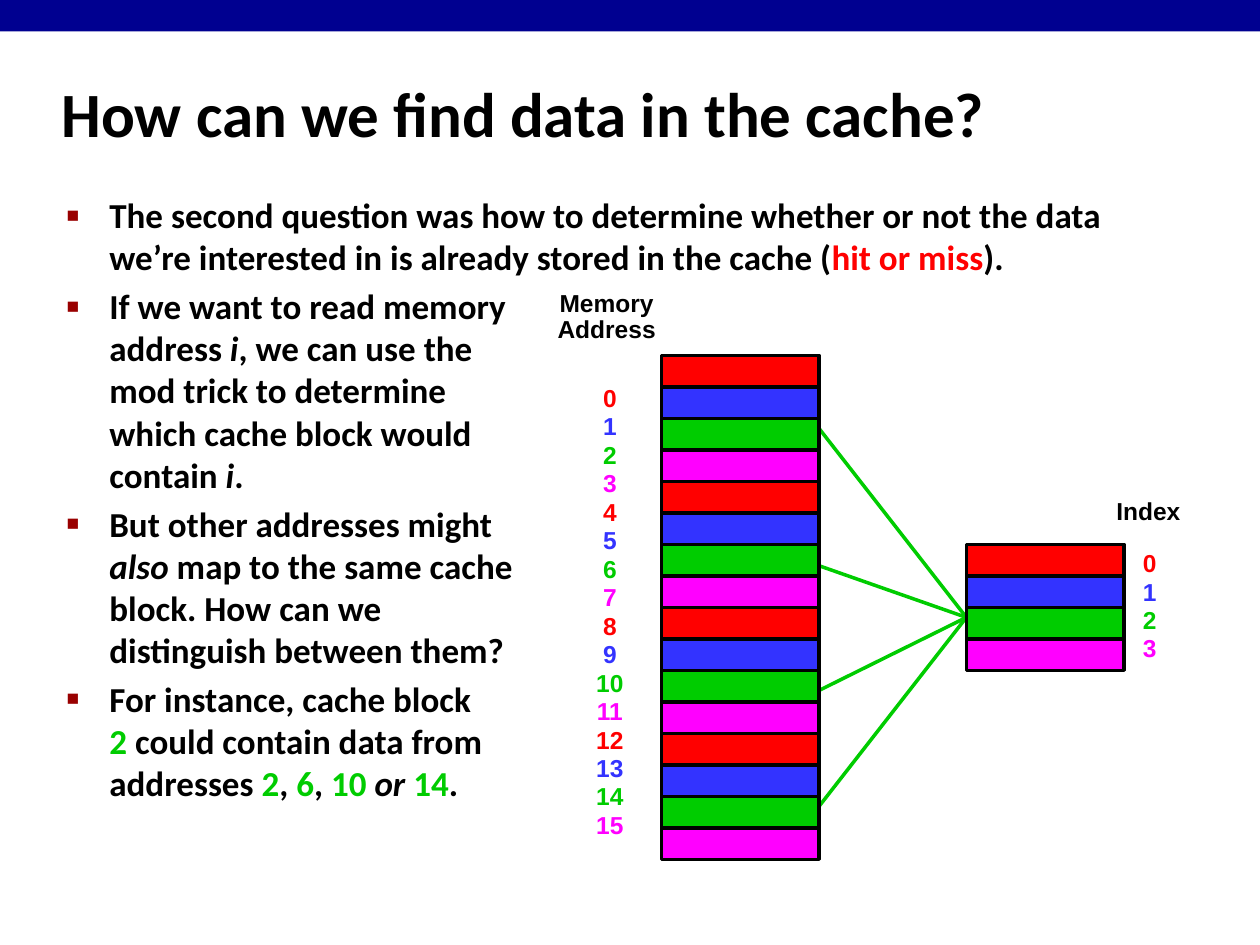
from lxml import etree
from pptx import Presentation
from pptx.dml.color import RGBColor
from pptx.enum.shapes import MSO_CONNECTOR, MSO_SHAPE
from pptx.enum.text import MSO_ANCHOR, PP_ALIGN
from pptx.oxml.ns import qn
from pptx.util import Inches, Pt

RECTANGLE = MSO_SHAPE.RECTANGLE
STRAIGHT = MSO_CONNECTOR.STRAIGHT
TOP, MIDDLE = MSO_ANCHOR.TOP, MSO_ANCHOR.MIDDLE
LEFT, CENTER = PP_ALIGN.LEFT, PP_ALIGN.CENTER

THEME = {
    "text": "000000", "bar": "000090", "bullet": "990000", "hit": "FF0000",
    "match": "00CC00", "outline": "000000",
    "blocks": ["FF0000", "3333FF", "00CC00", "FF00FF"],
    "body_font": "Calibri", "label_font": "Arial",
    "title_size": 36, "body_size": 20, "label_size": 14, "line_width": 2,
}

# Content: each bullet is a list of lines, each line a list of (text, style)
TITLE = "How can we find data in the cache?"
BULLETS = [
    [[("The second question was how to determine whether or not the data "
       "we’re interested in is already stored in the cache (", ""),
      ("hit or miss", "hit"), (").", "")]],
    [[("If we want to read memory", "")],
     [("address ", ""), ("i", "italic"), (", we can use the", "")],
     [("mod trick to determine", "")],
     [("which cache block would", "")],
     [("contain ", ""), ("i", "italic"), (".", "")]],
    [[("But other addresses might", "")],
     [("also ", "italic"), ("map to the same cache", "")],
     [("block. How can we", "")],
     [("distinguish between them?", "")]],
    [[("For instance, cache block", "")],
     [("2", "match"), (" could contain data from", "")],
     [("addresses ", ""), ("2", "match"), (", ", ""), ("6", "match"),
      (", ", ""), ("10 ", "match"), ("or ", "italic"), ("14", "match"),
      (".", "")]],
]
MEMORY_BLOCKS, CACHE_BLOCKS = 16, 4

# Diagram grid, in inches
BLOCK_WIDTH, BLOCK_HEIGHT = 1.25, 0.25
MEMORY_LEFT, MEMORY_TOP = 5.25, 2.82
CACHE_LEFT, CACHE_TOP = 7.67, 4.32
LINK_TARGET_Y = 4.9
LINK_SOURCE_YS = [3.4, 4.49, 5.48, 6.4]

presentation = Presentation()
presentation.slide_width, presentation.slide_height = Inches(10), Inches(7.5)
slide = presentation.slides.add_slide(presentation.slide_layouts[6])


def color(value):
    return RGBColor.from_string(value)


def set_font(font, name, size, value):
    font.name, font.size, font.bold = name, Pt(size), True
    font.color.rgb = color(value)


def add_rectangle(left, top, width, height, fill, outline=None):
    shape = slide.shapes.add_shape(
        RECTANGLE, Inches(left), Inches(top), Inches(width), Inches(height))
    shape.shadow.inherit = False
    shape.fill.solid()
    shape.fill.fore_color.rgb = color(fill)
    if outline:
        shape.line.color.rgb = color(outline)
        shape.line.width = Pt(THEME["line_width"])
    else:
        shape.line.fill.background()


def add_text_frame(left, top, width, height, anchor, wrap=True):
    box = slide.shapes.add_textbox(
        Inches(left), Inches(top), Inches(width), Inches(height))
    frame = box.text_frame
    frame.word_wrap, frame.vertical_anchor = wrap, anchor
    return frame


def add_paragraph(frame, index, space_before, alignment=LEFT):
    paragraph = frame.add_paragraph() if index else frame.paragraphs[0]
    paragraph.alignment = alignment
    if index and space_before:
        paragraph.space_before = Pt(space_before)
    return paragraph


def add_bullet(paragraph):
    properties = paragraph._p.get_or_add_pPr()
    properties.set("marL", str(Inches(0.34)))
    properties.set("indent", str(-Inches(0.34)))
    bullet_color = etree.SubElement(properties, qn("a:buClr"))
    etree.SubElement(bullet_color, qn("a:srgbClr"), val=THEME["bullet"])
    etree.SubElement(properties, qn("a:buSzPct"), val="60000")
    etree.SubElement(properties, qn("a:buFont"), typeface=THEME["label_font"])
    etree.SubElement(properties, qn("a:buChar"), char="■")


def add_labels(left, top, width, height, labels, colors, space_before=0):
    frame = add_text_frame(left, top, width, height, MIDDLE, wrap=False)
    frame.margin_left = frame.margin_right = Inches(0.11)
    frame.margin_top = frame.margin_bottom = Inches(0.06)
    for index, label in enumerate(labels):
        paragraph = add_paragraph(frame, index, space_before, CENTER)
        paragraph.line_spacing = 0.9
        set_font(paragraph.font, THEME["label_font"], THEME["label_size"],
                 colors[index % len(colors)])
        paragraph.add_run().text = str(label)


def add_blocks(left, top, count):
    for index in range(count):
        add_rectangle(left, top + index * BLOCK_HEIGHT, BLOCK_WIDTH, BLOCK_HEIGHT,
                      THEME["blocks"][index % CACHE_BLOCKS], THEME["outline"])


# Top bar and title
add_rectangle(0, 0, 10, 0.25, THEME["bar"])
title = add_text_frame(0.39, 0.48, 8.3, 0.83, MIDDLE).paragraphs[0]
set_font(title.font, THEME["body_font"], THEME["title_size"], THEME["text"])
title.add_run().text = TITLE

# Bulleted text
body = add_text_frame(0.43, 1.49, 8.64, 5.44, TOP)
for bullet_index, lines in enumerate(BULLETS):
    paragraph = add_paragraph(body, bullet_index, 0.2 * THEME["body_size"])
    add_bullet(paragraph)
    set_font(paragraph.font, THEME["body_font"], THEME["body_size"], THEME["text"])
    for line_index, line in enumerate(lines):
        if line_index:
            paragraph.add_line_break()
        for text, style in line:
            run = paragraph.add_run()
            run.text = text
            if style == "italic":
                run.font.italic = True
            elif style:
                run.font.color.rgb = color(THEME[style])

# Links from the matching memory addresses to cache block 2
for source_y in LINK_SOURCE_YS:
    link = slide.shapes.add_connector(
        STRAIGHT, Inches(CACHE_LEFT), Inches(LINK_TARGET_Y),
        Inches(MEMORY_LEFT + BLOCK_WIDTH), Inches(source_y))
    link.line.color.rgb = color(THEME["match"])
    link.line.width = Pt(THEME["line_width"])
    etree.SubElement(link._element.spPr, qn("a:effectLst"))

# Memory and cache blocks with their labels
add_blocks(MEMORY_LEFT, MEMORY_TOP, MEMORY_BLOCKS)
add_blocks(CACHE_LEFT, CACHE_TOP, CACHE_BLOCKS)
label_gap = 0.08 * THEME["label_size"]
add_labels(4.31, 2.25, 1.01, 0.54, ["Memory", "Address"], [THEME["text"]])
add_labels(4.62, 2.98, 0.44, 3.77, range(MEMORY_BLOCKS), THEME["blocks"], label_gap)
add_labels(8.75, 3.91, 0.73, 0.32, ["Index"], [THEME["text"]])
add_labels(8.96, 4.31, 0.33, 1.02, range(CACHE_BLOCKS), THEME["blocks"], label_gap)

presentation.save("out.pptx")
